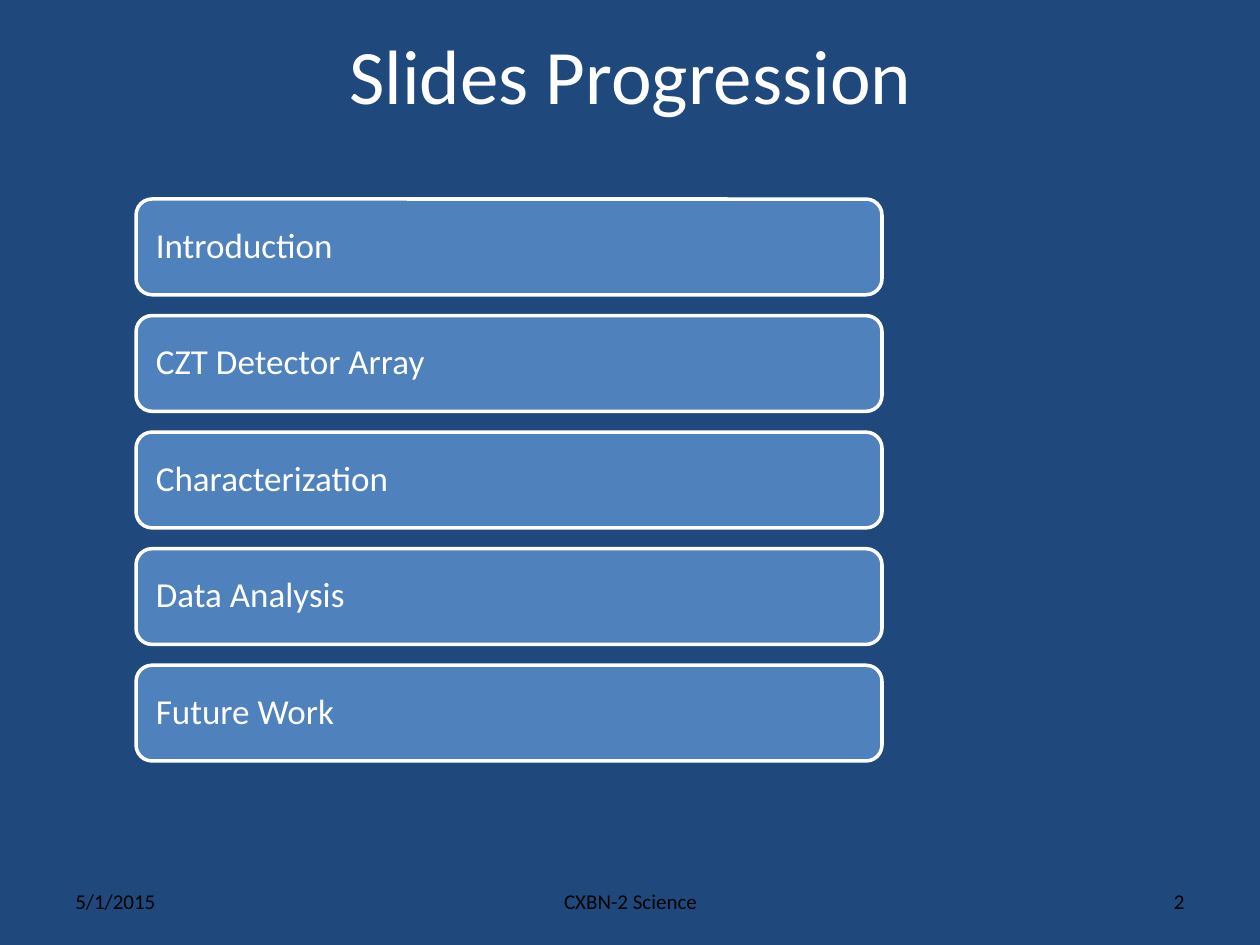
from dataclasses import dataclass

import pptx
import pptx.dml.color
import pptx.enum.shapes
import pptx.enum.text
import pptx.util

Inches = pptx.util.Inches
Pt = pptx.util.Pt
RGB = pptx.dml.color.RGBColor
Align = pptx.enum.text.PP_ALIGN


@dataclass(frozen=True)
class Theme:
    font: str = "Calibri"
    background: RGB = RGB(0x1F, 0x49, 0x7D)
    bar: RGB = RGB(0x4F, 0x81, 0xBD)
    light: RGB = RGB(0xFF, 0xFF, 0xFF)
    dark: RGB = RGB(0, 0, 0)
    title_size: int = 44
    bar_size: int = 20
    footer_size: int = 12


@dataclass(frozen=True)
class Label:
    text: str
    left: float
    top: float
    width: float
    height: float
    size: int
    color: RGB
    align: Align


THEME = Theme()
TOPICS = ["Introduction", "CZT Detector Array", "Characterization",
          "Data Analysis", "Future Work"]
BAR_LEFT, BAR_TOP, BAR_WIDTH, BAR_HEIGHT = 1.08, 1.58, 5.92, 0.76
BAR_PITCH = 0.925
BAR_INSET = 0.12
FOOTER_TOP, FOOTER_HEIGHT = 6.95, 0.4


def set_text(sp, text: str, size: int, color: RGB, align: Align) -> None:
    tf = sp.text_frame
    tf.text = text
    tf.word_wrap = True
    tf.vertical_anchor = pptx.enum.text.MSO_ANCHOR.MIDDLE
    p = tf.paragraphs[0]
    p.alignment = align
    font = p.runs[0].font
    font.name, font.size = THEME.font, Pt(size)
    font.color.rgb = color


def add_label(s, label: Label) -> None:
    sp = s.shapes.add_textbox(Inches(label.left), Inches(label.top),
                              Inches(label.width), Inches(label.height))
    set_text(sp, label.text, label.size, label.color, label.align)


def add_bar(s, topic: str, top: float) -> None:
    sp = s.shapes.add_shape(pptx.enum.shapes.MSO_SHAPE.ROUNDED_RECTANGLE,
                            Inches(BAR_LEFT), Inches(top),
                            Inches(BAR_WIDTH), Inches(BAR_HEIGHT))
    sp.shadow.inherit = False
    sp.fill.solid()
    sp.fill.fore_color.rgb = THEME.bar
    sp.line.color.rgb = THEME.light
    sp.line.width = Pt(2)
    set_text(sp, topic, THEME.bar_size, THEME.light, Align.LEFT)
    tf = sp.text_frame
    tf.margin_left = tf.margin_right = Inches(BAR_INSET)
    tf.margin_top = tf.margin_bottom = Inches(BAR_INSET)
    tf.paragraphs[0].line_spacing = 0.9


def footer(text: str, left: float, width: float, align: Align) -> Label:
    return Label(text, left, FOOTER_TOP, width, FOOTER_HEIGHT,
                 THEME.footer_size, THEME.dark, align)


def main() -> None:
    prs = pptx.Presentation()
    prs.slide_width, prs.slide_height = Inches(10), Inches(7.5)
    s = prs.slides.add_slide(prs.slide_layouts[6])
    s.background.fill.solid()
    s.background.fill.fore_color.rgb = THEME.background

    # Title
    add_label(s, Label("Slides Progression", 0.67, 0.17, 8.67, 0.83,
                       THEME.title_size, THEME.light, Align.CENTER))

    # Topic bars
    for i, topic in enumerate(TOPICS):
        add_bar(s, topic, BAR_TOP + i * BAR_PITCH)

    # Footer
    for label in (footer("5/1/2015", 0.5, 2.33, Align.LEFT),
                  footer("CXBN-2 Science", 3.42, 3.17, Align.CENTER),
                  footer("2", 7.17, 2.33, Align.RIGHT)):
        add_label(s, label)

    prs.save("out.pptx")


if __name__ == "__main__":
    main()
